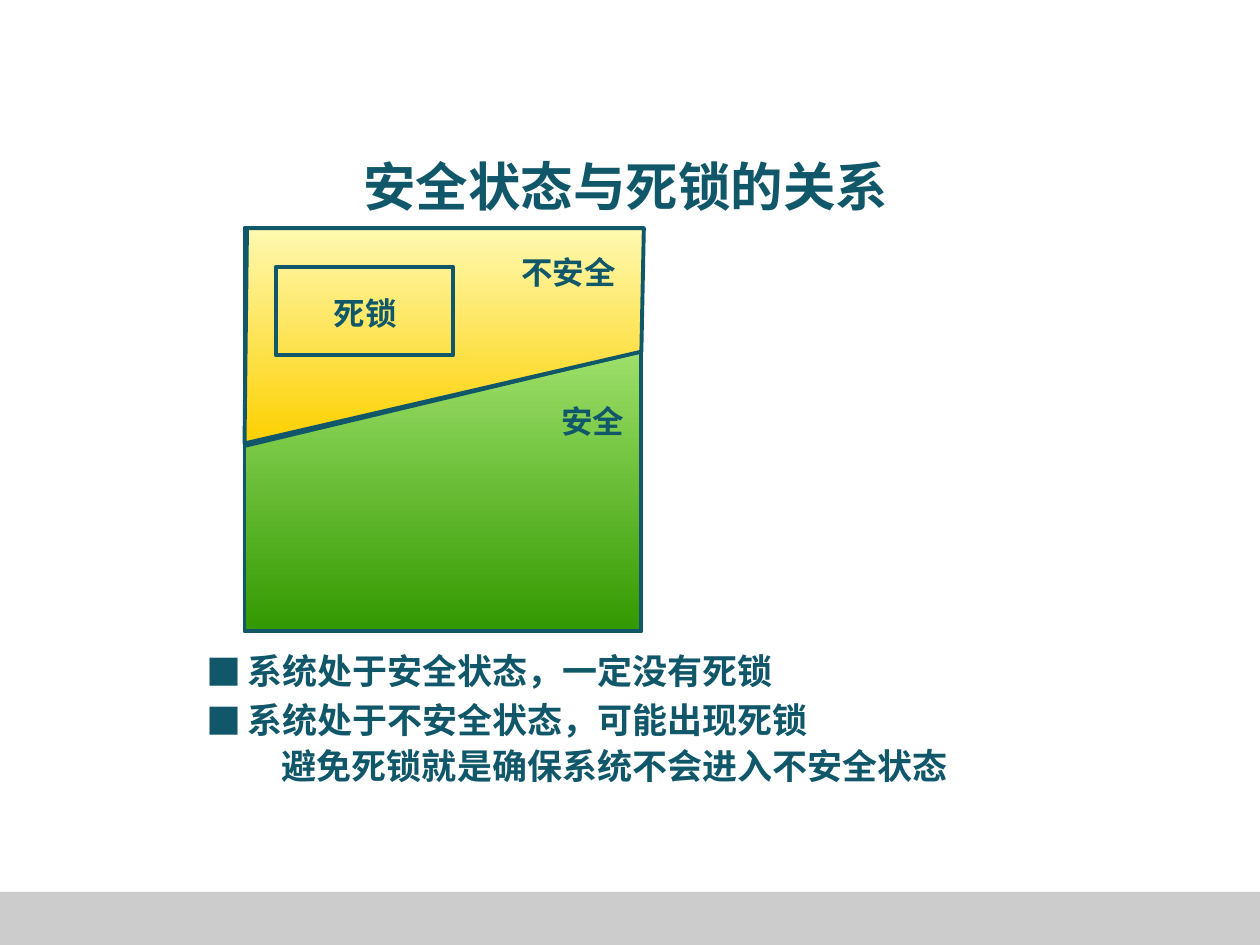
import pptx
import pptx.dml.color
import pptx.enum.shapes
import pptx.enum.text
import pptx.oxml.ns
import pptx.util
from lxml import etree
from pptx.util import Cm, Pt

INK = "11576A"
FONT = "Noto Sans CJK SC"
BULLET_FONT = "Noto Sans CJK JP"

TITLE = "安全状态与死锁的关系"
# text, level, line height (pt), left margin (cm), first-line indent (cm)
CONCLUSIONS = [
    ("系统处于安全状态，一定没有死锁", 0, 28, 0.81, -0.81),
    ("系统处于不安全状态，可能出现死锁", 0, 28, 0.81, -0.81),
    ("避免死锁就是确保系统不会进入不安全状态", 1, 26.5, 1.51, 0),
]
# text, left, top, width (cm)
LABELS = [
    ("死锁", 6.48, 5.79, 1.8),
    ("不安全", 10.26, 4.98, 2.46),
    ("安全", 11.07, 7.98, 1.83),
]
FOOTER_BAR = (0, 17.98, 25.4, 1.07)
STATE_SPACE = (4.93, 4.6, 8, 8.13)
DEADLOCK_BOX = (5.56, 5.38, 3.58, 1.78)
UNSAFE_OUTLINE = [(4.98, 4.6), (12.98, 4.6), (12.93, 7.09), (4.93, 8.94)]
BOUNDARY = (4.95, 8.97, 12.95, 7.06)


def color(hex_string):
    return pptx.dml.color.RGBColor.from_string(hex_string)


def lengths(values):
    return [Cm(value) for value in values]


def add_element(parent, tag, **attributes):
    return etree.SubElement(parent, pptx.oxml.ns.qn(tag), attributes)


def place(shape, box):
    shape.left, shape.top, shape.width, shape.height = lengths(box)


def format_frame(frame, size, anchor, wrap=True):
    """Set the frame's layout and give all its runs the slide's type style."""
    frame.auto_size = pptx.enum.text.MSO_AUTO_SIZE.NONE
    frame.word_wrap = wrap
    frame.vertical_anchor = anchor
    for paragraph in frame.paragraphs:
        for run in paragraph.runs:
            run.font.size = Pt(size)
            run.font.bold = True
            run.font.name = FONT
            run.font.color.rgb = color(INK)
            add_element(run.font._element, "a:ea", typeface=FONT)


def outline(shape, width=2.25):
    shape.shadow.inherit = False
    shape.line.color.rgb = color(INK)
    shape.line.width = Pt(width)


def fill_downwards(shape, top_color, bottom_color):
    shape.fill.gradient()
    shape.fill.gradient_angle = 270
    for stop, hex_string in zip(shape.fill.gradient_stops, (top_color, bottom_color)):
        stop.color.rgb = color(hex_string)


def add_rectangle(slide, box):
    return slide.shapes.add_shape(
        pptx.enum.shapes.MSO_SHAPE.RECTANGLE, *lengths(box))


def add_conclusions(body):
    place(body, (4.17, 12.95, 16, 3))
    frame = body.text_frame
    frame.text = "\n".join(item[0] for item in CONCLUSIONS)
    frame.margin_left = frame.margin_right = frame.margin_top = frame.margin_bottom = 0
    for paragraph, item in zip(frame.paragraphs, CONCLUSIONS):
        _, level, line_height, margin, indent = item
        paragraph.level = level
        paragraph.line_spacing = Pt(line_height)
        paragraph.space_before = paragraph.space_after = Pt(0)
        properties = paragraph._p.get_or_add_pPr()
        properties.set("marL", str(Cm(margin)))
        properties.set("indent", str(Cm(indent)))
        if level == 0:
            add_element(properties, "a:buFont", typeface=BULLET_FONT)
            add_element(properties, "a:buChar", char="■")
        else:
            add_element(properties, "a:buNone")
    format_frame(frame, 20, pptx.enum.text.MSO_ANCHOR.TOP)


def add_state_diagram(slide):
    safe = add_rectangle(slide, STATE_SPACE)
    fill_downwards(safe, "CCFF99", "339900")
    outline(safe)

    boundary = slide.shapes.add_connector(
        pptx.enum.shapes.MSO_CONNECTOR.STRAIGHT, *lengths(BOUNDARY))
    boundary.line.color.rgb = color(INK)
    boundary.line.width = Pt(3)
    add_element(boundary._element.spPr, "a:effectLst")

    start, *corners = [lengths(point) for point in UNSAFE_OUTLINE]
    builder = slide.shapes.build_freeform(*start)
    builder.add_line_segments(corners, close=True)
    unsafe = builder.convert_to_shape()
    fill_downwards(unsafe, "FFF9B1", "FDD000")
    outline(unsafe)

    deadlock = add_rectangle(slide, DEADLOCK_BOX)
    deadlock.fill.background()
    outline(deadlock)

    for text, left, top, width in LABELS:
        label = slide.shapes.add_textbox(*lengths((left, top, width, 1.02)))
        label.text_frame.text = text
        format_frame(label.text_frame, 18, pptx.enum.text.MSO_ANCHOR.MIDDLE, wrap=False)


def main():
    presentation = pptx.Presentation()
    presentation.slide_width, presentation.slide_height = lengths((25.4, 19.05))
    slide = presentation.slides.add_slide(presentation.slide_layouts[1])

    title = slide.shapes.title
    place(title, (1.19, 3.02, 22.86, 1.42))
    title.text_frame.text = TITLE
    title.text_frame.paragraphs[0].alignment = pptx.enum.text.PP_ALIGN.CENTER
    format_frame(title.text_frame, 30, pptx.enum.text.MSO_ANCHOR.MIDDLE)

    add_conclusions(slide.placeholders[1])

    footer_bar = add_rectangle(slide, FOOTER_BAR)
    footer_bar.shadow.inherit = False
    footer_bar.fill.solid()
    footer_bar.fill.fore_color.rgb = color("CCCCCC")
    footer_bar.line.fill.background()

    add_state_diagram(slide)
    presentation.save("out.pptx")


if __name__ == "__main__":
    main()
